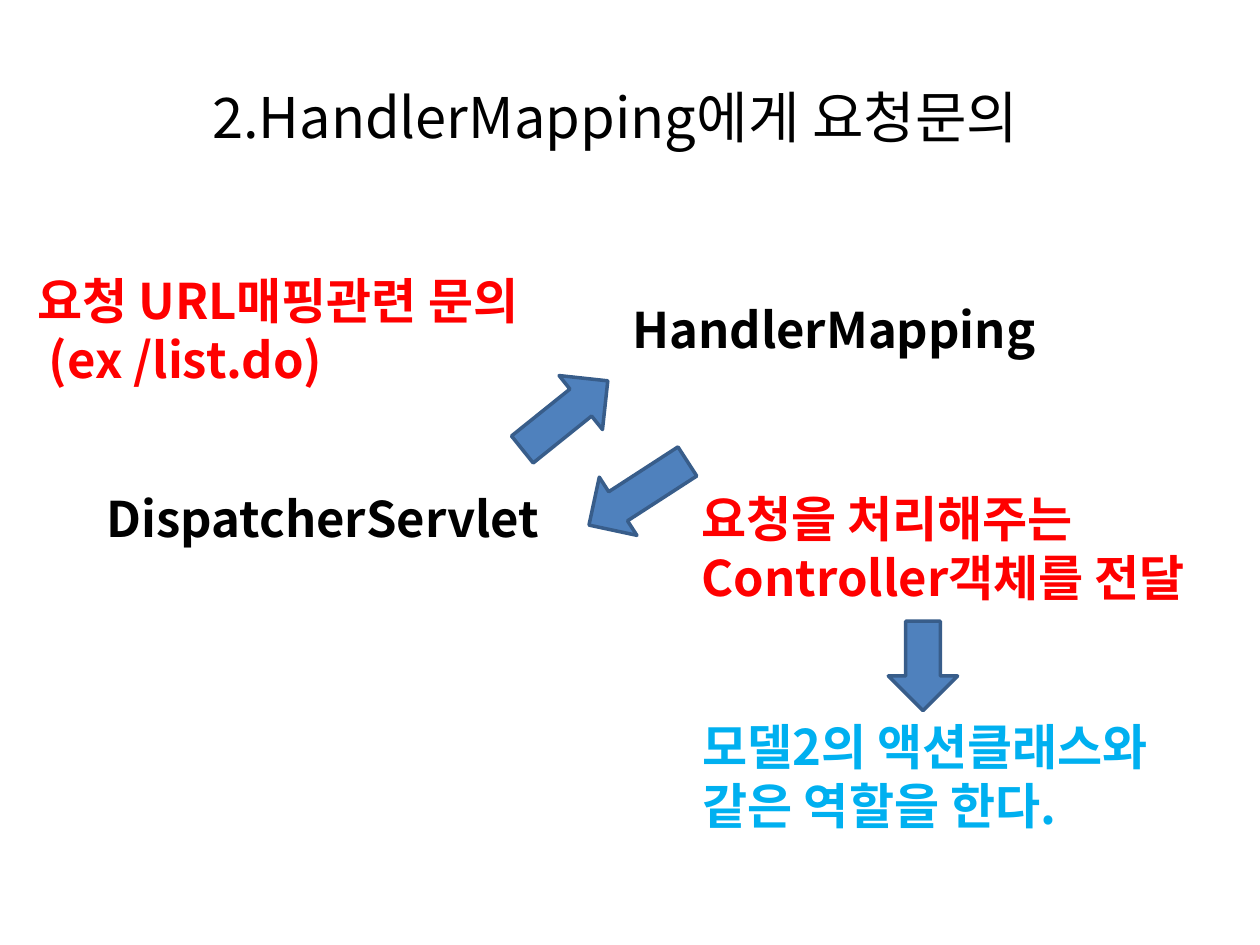
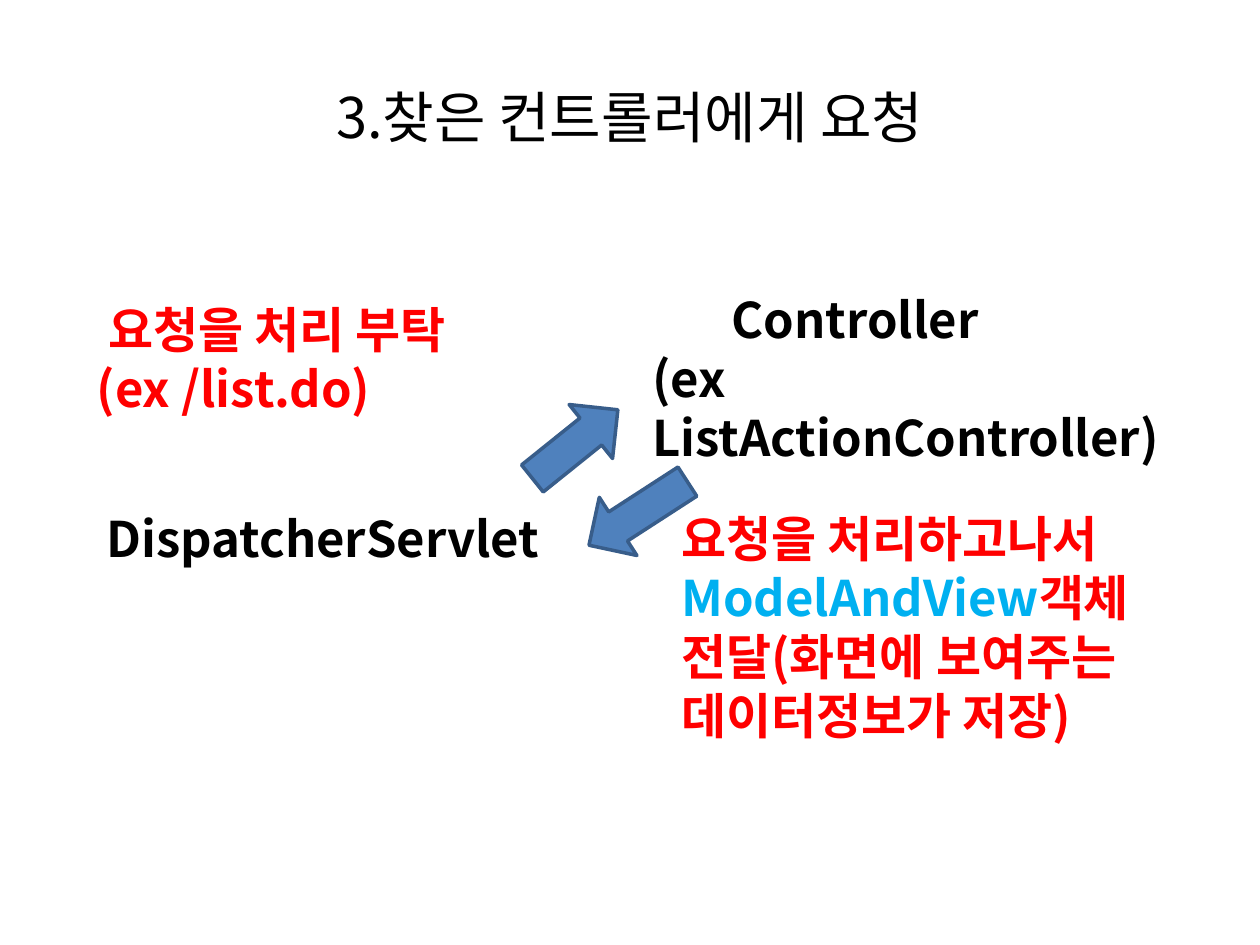
import pptx
import pptx.util
import pptx.dml.color
import pptx.enum.shapes
import pptx.enum.text
import pptx.oxml.ns
import lxml.etree

RGBColor = pptx.dml.color.RGBColor
BLACK = RGBColor(0x00, 0x00, 0x00)
RED = RGBColor(0xFF, 0x00, 0x00)
SKY = RGBColor(0x00, 0xB0, 0xF0)
ARROW_FILL = RGBColor(0x4F, 0x81, 0xBD)
ARROW_EDGE = RGBColor(0x38, 0x5D, 0x8A)

FONT = "Noto Sans CJK KR"
COLUMNS, ROWS = 100, 75
WIDTH, HEIGHT = pptx.util.Inches(10), pptx.util.Inches(7.5)
LABEL_ROWS = {1: 5.7, 2: 10.4, 3: 15, 4: 19.7}
ARROW_HEIGHT = 5.5
TO_TARGET, TO_SERVLET, DOWNWARD = 321.2, 147.1, 90
SPACE = 0.09


def place(column, row, columns, rows):
    across, down = WIDTH / COLUMNS, HEIGHT / ROWS
    return [round(n) for n in (column * across, row * down, columns * across, rows * down)]


def style(paragraph, size, bold, color):
    font = paragraph.font
    font.size = pptx.util.Pt(size)
    font.bold = bold
    font.name = FONT
    if color is not None:
        font.color.rgb = color
    defaults = paragraph._p.pPr.find(pptx.oxml.ns.qn("a:defRPr"))
    lxml.etree.SubElement(defaults, pptx.oxml.ns.qn("a:ea"), typeface=FONT)


def add_title(slide, text, column, columns):
    frame = slide.shapes.add_textbox(*place(column, 3, columns, 12.5)).text_frame
    frame.word_wrap = True
    frame.vertical_anchor = pptx.enum.text.MSO_ANCHOR.MIDDLE
    heading = frame.paragraphs[0]
    heading.text = text
    heading.alignment = pptx.enum.text.PP_ALIGN.CENTER
    style(heading, 32, False, BLACK)


def add_label(slide, lines, column, row, columns, color=BLACK, height=None, indents=()):
    rows = LABEL_ROWS[height or len(lines)]
    frame = slide.shapes.add_textbox(*place(column, row, columns, rows)).text_frame
    frame.word_wrap = True
    frame.auto_size = pptx.enum.text.MSO_AUTO_SIZE.SHAPE_TO_FIT_TEXT
    for index, line in enumerate(lines):
        paragraph = frame.paragraphs[0] if index == 0 else frame.add_paragraph()
        if isinstance(line, str):
            paragraph.text = line
            style(paragraph, 28, True, color)
        else:
            for text, run_color in line:
                run = paragraph.add_run()
                run.text = text
                run.font.color.rgb = run_color
            style(paragraph, 28, True, None)
        if index < len(indents):
            paragraph._p.pPr.set("marL", str(pptx.util.Inches(indents[index])))


def add_arrow(slide, column, row, columns, rotation):
    arrow = slide.shapes.add_shape(
        pptx.enum.shapes.MSO_SHAPE.RIGHT_ARROW, *place(column, row, columns, ARROW_HEIGHT))
    arrow.rotation = rotation
    arrow.shadow.inherit = False
    arrow.fill.solid()
    arrow.fill.fore_color.rgb = ARROW_FILL
    arrow.line.color.rgb = ARROW_EDGE
    arrow.line.width = pptx.util.Pt(2)


def add_exchange(slide, servlet_row, request_column, request_row):
    add_label(slide, ["DispatcherServlet"], 7.5, servlet_row, 37)
    add_arrow(slide, request_column, request_row, 8.7, TO_TARGET)
    add_arrow(slide, 46, servlet_row - 1.9, 9.3, TO_SERVLET)


def build_mapping_slide(slide):
    add_title(slide, "2.HandlerMapping에게 요청문의", 2.7, 92.3)
    add_label(slide, ["HandlerMapping"], 49.2, 23.3, 37)
    add_exchange(slide, 38.3, 40.5, 30.2)
    add_label(slide, ["요청을 처리해주는", "Controller객체를 전달"], 54.7, 38.3, 42.5, RED)
    add_label(slide, ["요청 URL매핑관련 문의", "(ex /list.do)"], 2, 21, 43.3, RED,
              indents=(0, SPACE))
    add_label(slide, ["모델2의 액션클래스와 같은 역할을 한다."], 54.8, 56.4, 42.5, SKY, height=2)
    add_arrow(slide, 69.7, 50.1, 7.1, DOWNWARD)


def build_controller_slide(slide):
    add_title(slide, "3.찾은 컨트롤러에게 요청", 5, 90)
    add_label(slide, ["Controller", "(ex ListActionController)"], 50.8, 22.5, 46.5,
              height=3, indents=(7 * SPACE,))
    add_exchange(slide, 39.9, 41.3, 32.5)
    result = [("ModelAndView", SKY), ("객체", RED)]
    add_label(slide, ["요청을 처리하고나서", result, "전달(화면에 보여주는", "데이터정보가 저장)"],
              53.1, 39.9, 42.5, RED)
    add_label(slide, ["요청을 처리 부탁", "(ex /list.do)"], 6.7, 23.3, 36.2, RED,
              indents=(SPACE,))


def main():
    deck = pptx.Presentation()
    deck.slide_width, deck.slide_height = WIDTH, HEIGHT
    blank = deck.slide_layouts[6]
    for build in (build_mapping_slide, build_controller_slide):
        build(deck.slides.add_slide(blank))
    deck.save("out.pptx")


if __name__ == "__main__":
    main()
